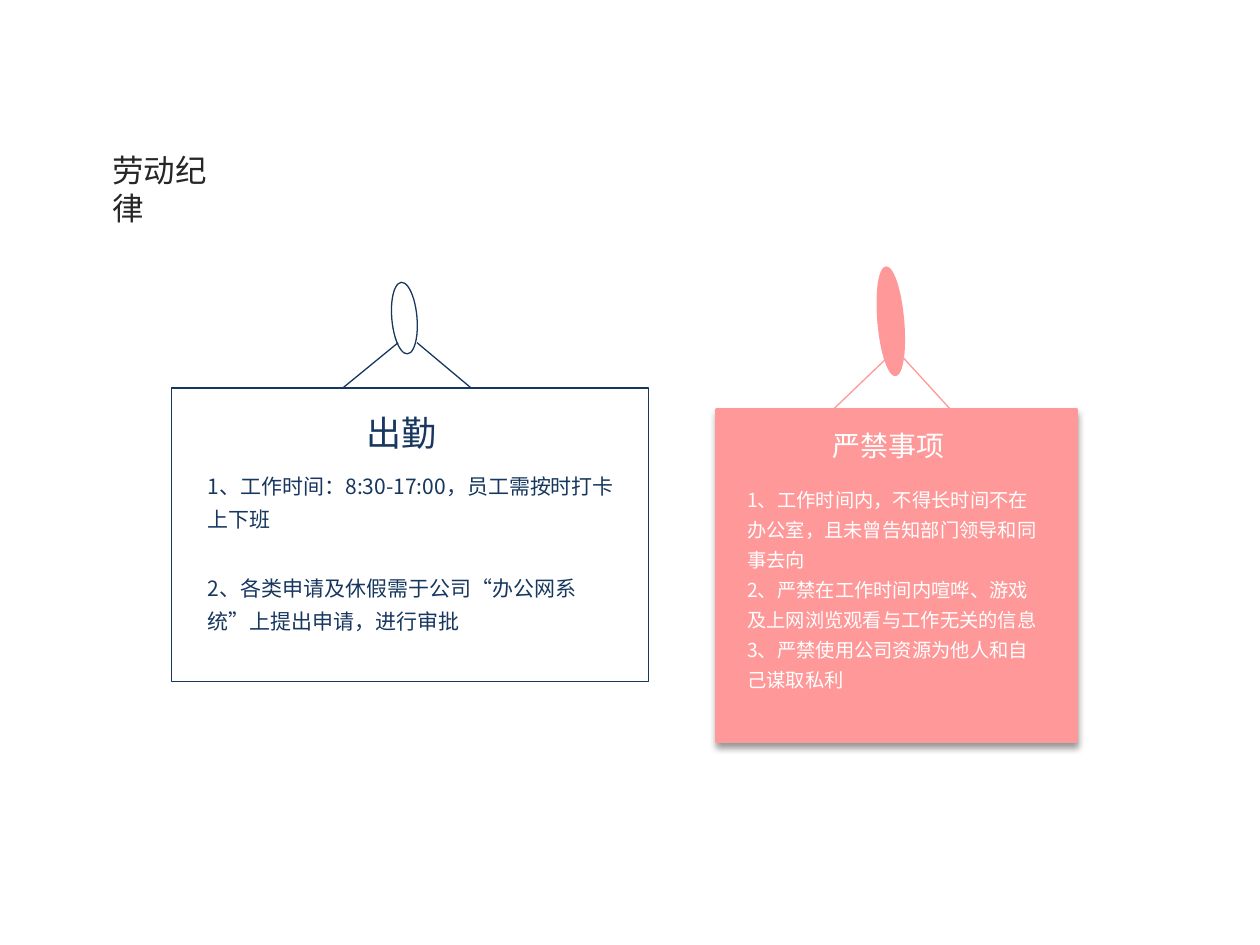
from dataclasses import dataclass

from lxml.etree import SubElement
from pptx import Presentation
from pptx.dml.color import RGBColor
from pptx.enum.shapes import MSO_CONNECTOR, MSO_SHAPE
from pptx.enum.text import MSO_ANCHOR, PP_ALIGN
from pptx.oxml.ns import qn
from pptx.util import Inches, Pt


@dataclass(frozen=True)
class Theme:
    font: str = "Noto Sans CJK SC"
    ink: str = "262626"
    navy: str = "17375E"
    pink: str = "FF9999"
    white: str = "FFFFFF"
    title_size: int = 18
    line_spacing: float = 1.3
    rope_width: float = 0.75


THEME = Theme()


@dataclass(frozen=True)
class Sign:
    """A hanging board; all offsets are inches from the board's top left."""
    box: tuple
    ring: tuple
    ropes: tuple
    color: str
    text_color: str
    border: float
    ring_border: float
    filled: bool
    heading: str
    heading_box: tuple
    heading_size: int
    rules: tuple  # (offset box, paragraphs)
    rule_size: int


ATTENDANCE = Sign(
    box=(1.36, 3.08, 3.79, 2.33),
    ring=(1.75, -0.84, 0.2, 0.57),
    ropes=(((1.36, 0), (1.8, -0.36)), ((1.95, -0.36), (2.38, 0))),
    color=THEME.navy, text_color=THEME.navy,
    border=0.75, ring_border=0.75, filled=False,
    heading="出勤", heading_box=(1.45, 0.14, 0.76, 0.44), heading_size=20,
    rules=(
        ((0.22, 0.58, 3.41, 0.86), ("1、工作时间：8:30-17:00，员工需按时打卡上下班",)),
        ((0.22, 1.39, 3.41, 0.6), ("2、各类申请及休假需于公司“办公网系统”上提出申请，进行审批",)),
    ),
    rule_size=12,
)

PROHIBITED = Sign(
    box=(5.69, 3.25, 2.85, 2.63),
    ring=(1.28, -1.13, 0.2, 0.86),
    ropes=(((0.87, 0.05), (1.34, -0.4)), ((1.48, -0.41), (1.9, 0.05))),
    color=THEME.pink, text_color=THEME.white,
    border=2, ring_border=1, filled=True,
    heading="严禁事项", heading_box=(0.82, 0.1, 1.09, 0.37), heading_size=16,
    rules=(
        ((0.17, 0.53, 2.52, 1.76), (
            "1、工作时间内，不得长时间不在办公室，且未曾告知部门领导和同事去向",
            "2、严禁在工作时间内喧哗、游戏及上网浏览观看与工作无关的信息",
            "3、严禁使用公司资源为他人和自己谋取私利",
        )),
    ),
    rule_size=11,
)


def inches(values):
    return [Inches(value) for value in values]


def style_paragraph(paragraph, size, color):
    """Set the font for both Latin and East Asian characters."""
    font = paragraph.font
    font.size = Pt(size)
    font.color.rgb = RGBColor.from_string(color)
    font.name = THEME.font
    defaults = paragraph._p.pPr.find(qn("a:defRPr"))
    SubElement(defaults, qn("a:ea")).set("typeface", THEME.font)


def add_effects(shape):
    return SubElement(shape._element.spPr, qn("a:effectLst"))


def add_drop_shadow(shape):
    shadow = SubElement(add_effects(shape), qn("a:outerShdw"), blurRad=str(Pt(4)),
                        dist=str(Pt(3)), dir="5400000", algn="t", rotWithShape="0")
    black = SubElement(shadow, qn("a:srgbClr"), val="000000")
    SubElement(black, qn("a:alpha"), val="40000")


def add_part(group, preset, box, sign, border):
    part = group.shapes.add_shape(preset, *inches(box))
    if sign.filled:
        part.fill.solid()
        part.fill.fore_color.rgb = RGBColor.from_string(sign.color)
    else:
        part.fill.background()
    part.line.color.rgb = RGBColor.from_string(sign.color)
    part.line.width = Pt(border)
    return part


def add_rope(group, start, end, color):
    rope = group.shapes.add_connector(MSO_CONNECTOR.STRAIGHT, *inches(start + end))
    rope.line.color.rgb = RGBColor.from_string(color)
    rope.line.width = Pt(THEME.rope_width)
    add_effects(rope)


def add_heading(slide, box, text, size, color):
    frame = slide.shapes.add_textbox(*inches(box)).text_frame
    frame.word_wrap = False
    frame.text = text
    style_paragraph(frame.paragraphs[0], size, color)


def add_rules(slide, box, rules, size, color):
    frame = slide.shapes.add_textbox(*inches(box)).text_frame
    frame.word_wrap = True
    frame.margin_left = frame.margin_right = Inches(0.07)
    frame.margin_top = frame.margin_bottom = Inches(0.04)
    frame.text = "\n".join(rules)
    for paragraph in frame.paragraphs:
        paragraph.line_spacing = THEME.line_spacing
        style_paragraph(paragraph, size, color)


def add_sign(slide, sign):
    left, top, width, height = sign.box

    def at(x, y, *size):
        return (left + x, top + y, *size)

    group = slide.shapes.add_group_shape()
    for start, end in sign.ropes:
        add_rope(group, at(*start), at(*end), sign.color)
    ring = add_part(group, MSO_SHAPE.OVAL, at(*sign.ring), sign, sign.ring_border)
    ring.rotation = 355
    ring.shadow.inherit = False
    board = add_part(group, MSO_SHAPE.RECTANGLE, sign.box, sign, sign.border)
    if sign.filled:
        add_drop_shadow(board)
    else:
        board.shadow.inherit = False

    for box, rules in sign.rules:
        add_rules(slide, at(*box), rules, sign.rule_size, sign.text_color)
    add_heading(slide, at(*sign.heading_box), sign.heading,
                sign.heading_size, sign.text_color)


def add_title(slide, box, text):
    title = slide.shapes.title
    title.left, title.top, title.width, title.height = inches(box)
    frame = title.text_frame
    frame.text = text
    frame.word_wrap = False
    frame.vertical_anchor = MSO_ANCHOR.TOP
    paragraph = frame.paragraphs[0]
    paragraph.alignment = PP_ALIGN.LEFT
    style_paragraph(paragraph, THEME.title_size, THEME.ink)


def main():
    presentation = Presentation()
    presentation.slide_width, presentation.slide_height = Inches(10), Inches(7.5)
    slide = presentation.slides.add_slide(presentation.slide_layouts[5])
    add_title(slide, (0.79, 1.15, 1.2, 0.4), "劳动纪律")
    for sign in (ATTENDANCE, PROHIBITED):
        add_sign(slide, sign)
    presentation.save("out.pptx")


if __name__ == "__main__":
    main()
